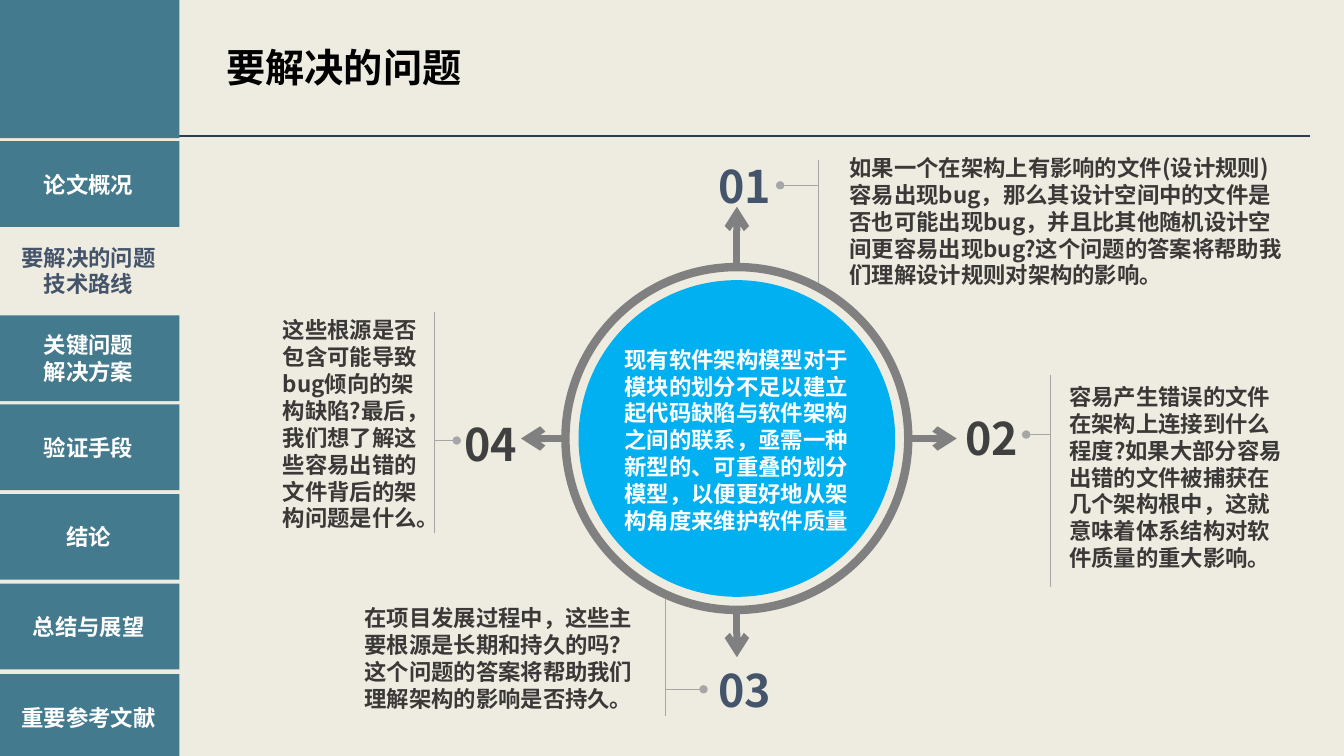
from pptx import Presentation
from pptx.dml.color import RGBColor
from pptx.enum.shapes import MSO_CONNECTOR, MSO_SHAPE
from pptx.enum.text import MSO_ANCHOR, PP_ALIGN
from pptx.oxml.ns import qn
from pptx.util import Cm, Pt
from lxml.etree import SubElement

CREAM = RGBColor(0xEE, 0xEC, 0xE1)
TEAL = RGBColor(0x44, 0x7A, 0x8D)
NAVY = RGBColor(0x2A, 0x3D, 0x52)
SLATE = RGBColor(0x44, 0x54, 0x6A)
SKY = RGBColor(0x00, 0xB0, 0xF0)
GRAY = RGBColor(0x80, 0x80, 0x80)
LIGHT_GRAY = RGBColor(0xA6, 0xA6, 0xA6)
DARK_GRAY = RGBColor(0x40, 0x40, 0x40)
INK = RGBColor(0x3B, 0x38, 0x38)
WHITE = RGBColor(0xFF, 0xFF, 0xFF)
BLACK = RGBColor(0x00, 0x00, 0x00)

CENTER_X, CENTER_Y = 18.57, 11.05
RING_RADIUS, DISC_RADIUS = 4.32, 3.99
TAB_LEFT, TAB_WIDTH, TAB_HEIGHT = -0.05, 4.57, 2.16
CURRENT_TAB = 1

TABS = [
    (3.56, "论文概况"),
    (5.74, "要解决的问题\n技术路线"),
    (7.95, "关键问题\n解决方案"),
    (10.19, "验证手段"),
    (12.45, "结论"),
    (14.71, "总结与展望"),
    (16.99, "重要参考文献"),
]

GOAL = ("现有软件架构模型对于模块的划分不足以建立起代码缺陷与软件架构之间的联系，"
        "亟需一种新型的、可重叠的划分模型，以便更好地从架构角度来维护软件质量")

# number, colour, number position, arrow direction and length,
# bar (x, top, bottom), dot, text box, alignment, text
QUESTIONS = [
    ("01", SLATE, (17.88, 3.99), (0, -1, 1.52), (20.62, 4.04, 7.14), (19.66, 4.67),
     (21.16, 3.76, 11.46, 3.68), PP_ALIGN.LEFT,
     "如果一个在架构上有影响的文件(设计规则)容易出现bug，那么其设计空间中的文件是否也可能出现bug，"
     "并且比其他随机设计空间更容易出现bug?这个问题的答案将帮助我们理解设计规则对架构的影响。"),
    ("02", DARK_GRAY, (24.1, 10.36), (1, 0, 1.22), (26.47, 9.45, 14.78), (25.86, 10.95),
     (26.7, 9.53, 5.89, 5.03), PP_ALIGN.LEFT,
     "容易产生错误的文件在架构上连接到什么程度?如果大部分容易出错的文件被捕获在几个架构根中，"
     "这就意味着体系结构对软件质量的重大影响。"),
    ("03", SLATE, (17.88, 16.71), (0, 1, 1.19), (16.76, 15.09, 18.03), (17.73, 17.37),
     (8.74, 15.11, 7.65, 3), PP_ALIGN.CENTER,
     "在项目发展过程中，这些主要根源是长期和持久的吗？这个问题的答案将帮助我们理解架构的影响是否持久。"),
    ("04", DARK_GRAY, (11.48, 10.49), (-1, 0, 1.12), (10.95, 7.85, 13.44), (11.51, 11.1),
     (6.88, 7.85, 4.04, 5.72), PP_ALIGN.LEFT,
     "这些根源是否包含可能导致bug倾向的架构缺陷?最后，我们想了解这些容易出错的文件背后的架构问题是什么。"),
]


def write(tf, text, size=16, color=INK, align=PP_ALIGN.LEFT,
          anchor=MSO_ANCHOR.TOP, margins=None, font="Noto Sans CJK SC"):
    """Fill a text frame, one paragraph per line of text."""
    tf.word_wrap = True
    tf.vertical_anchor = anchor
    if margins is not None:
        tf.margin_left = tf.margin_right = tf.margin_top = tf.margin_bottom = Cm(margins)
    for i, line in enumerate(text.split("\n")):
        p = tf.add_paragraph() if i else tf.paragraphs[0]
        p.alignment = align
        p.line_spacing = Pt(size * 1.2)
        r = p.add_run()
        r.text = line
        r.font.size, r.font.bold, r.font.name = Pt(size), True, font
        r.font.color.rgb = color
        SubElement(r.font._element, qn("a:ea")).set("typeface", font)


class Deck:
    def __init__(self):
        self.prs = Presentation()
        self.prs.slide_width, self.prs.slide_height = Cm(33.87), Cm(19.05)
        self.s = self.prs.slides.add_slide(self.prs.slide_layouts[6])
        fill = self.s.background.fill
        fill.solid()
        fill.fore_color.rgb = CREAM

    def shape(self, kind, x, y, w, h, fill=None, line=None, width=1):
        sp = self.s.shapes.add_shape(kind, Cm(x), Cm(y), Cm(w), Cm(h))
        sp.shadow.inherit = False
        if fill is None:
            sp.fill.background()
        else:
            sp.fill.solid()
            sp.fill.fore_color.rgb = fill
        if line is None:
            sp.line.fill.background()
        else:
            sp.line.color.rgb, sp.line.width = line, Pt(width)
        return sp

    def circle(self, radius, **style):
        return self.shape(MSO_SHAPE.OVAL, CENTER_X - radius, CENTER_Y - radius,
                          2 * radius, 2 * radius, **style)

    def text(self, x, y, w, h, text, **style):
        sp = self.s.shapes.add_textbox(Cm(x), Cm(y), Cm(w), Cm(h))
        write(sp.text_frame, text, **style)

    def line(self, x1, y1, x2, y2, color, width, end=None):
        """Draw a line whose end point may carry an arrowhead type."""
        c = self.s.shapes.add_connector(MSO_CONNECTOR.STRAIGHT, Cm(x1), Cm(y1), Cm(x2), Cm(y2))
        c.line.color.rgb, c.line.width = color, Pt(width)
        if end:
            SubElement(c.line._get_or_add_ln(), qn("a:tailEnd")).set("type", end)
        SubElement(c._element.spPr, qn("a:effectLst"))

    def tab(self, top, text, current):
        sp = self.shape(MSO_SHAPE.RECTANGLE, TAB_LEFT, top, TAB_WIDTH, TAB_HEIGHT,
                        fill=CREAM if current else TEAL)
        write(sp.text_frame, text, color=SLATE if current else WHITE,
              align=PP_ALIGN.CENTER, anchor=MSO_ANCHOR.MIDDLE)

    def question(self, number, color, spot, arrow, bar, dot, box, align, text):
        dx, dy, length = arrow
        x, y = CENTER_X + dx * RING_RADIUS, CENTER_Y + dy * RING_RADIUS
        self.line(x, y, x + dx * length, y + dy * length, GRAY, 5, end="arrow")
        self.text(*spot, 1.78, 1.37, number, size=32, color=color,
                  align=PP_ALIGN.CENTER, margins=0)
        bar_x, top, bottom = bar
        self.line(bar_x, top, bar_x, bottom, LIGHT_GRAY, 0.5)
        self.line(bar_x, dot[1], *dot, LIGHT_GRAY, 0.5, end="oval")
        self.text(*box, text, align=align)


def main():
    deck = Deck()
    deck.circle(RING_RADIUS, line=GRAY, width=6)
    deck.circle(DISC_RADIUS, fill=SKY)
    deck.line(3.43, 3.43, 33.02, 3.43, NAVY, 1)
    deck.text(5.46, 0.97, 10.08, 1.45, "要解决的问题", size=28, color=BLACK)
    deck.shape(MSO_SHAPE.RECTANGLE, TAB_LEFT, -0.08, TAB_WIDTH, 3.56, fill=TEAL)
    for i, (top, text) in enumerate(TABS):
        deck.tab(top, text, i == CURRENT_TAB)
    for question in QUESTIONS:
        deck.question(*question)
    deck.text(15.29, 8.59, 6.53, 5.05, GOAL, color=WHITE, align=PP_ALIGN.CENTER)
    deck.prs.save("out.pptx")


if __name__ == "__main__":
    main()
